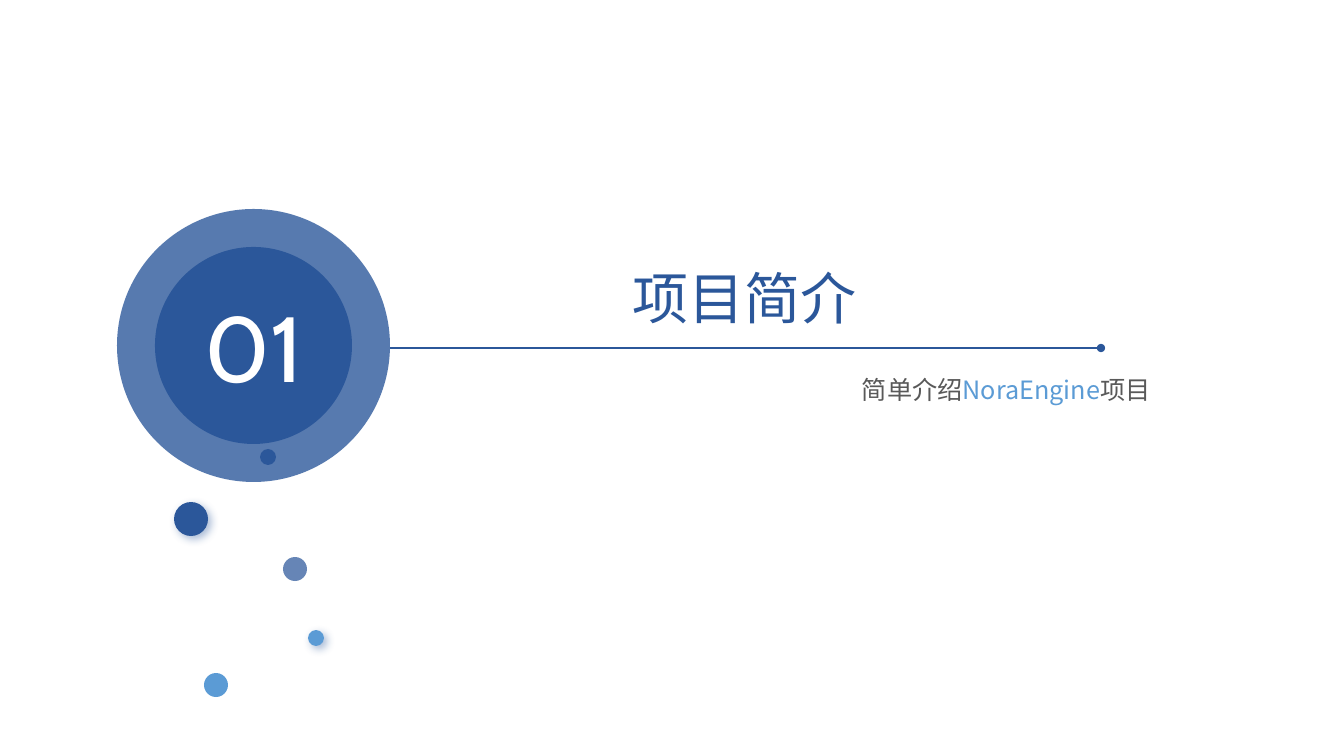
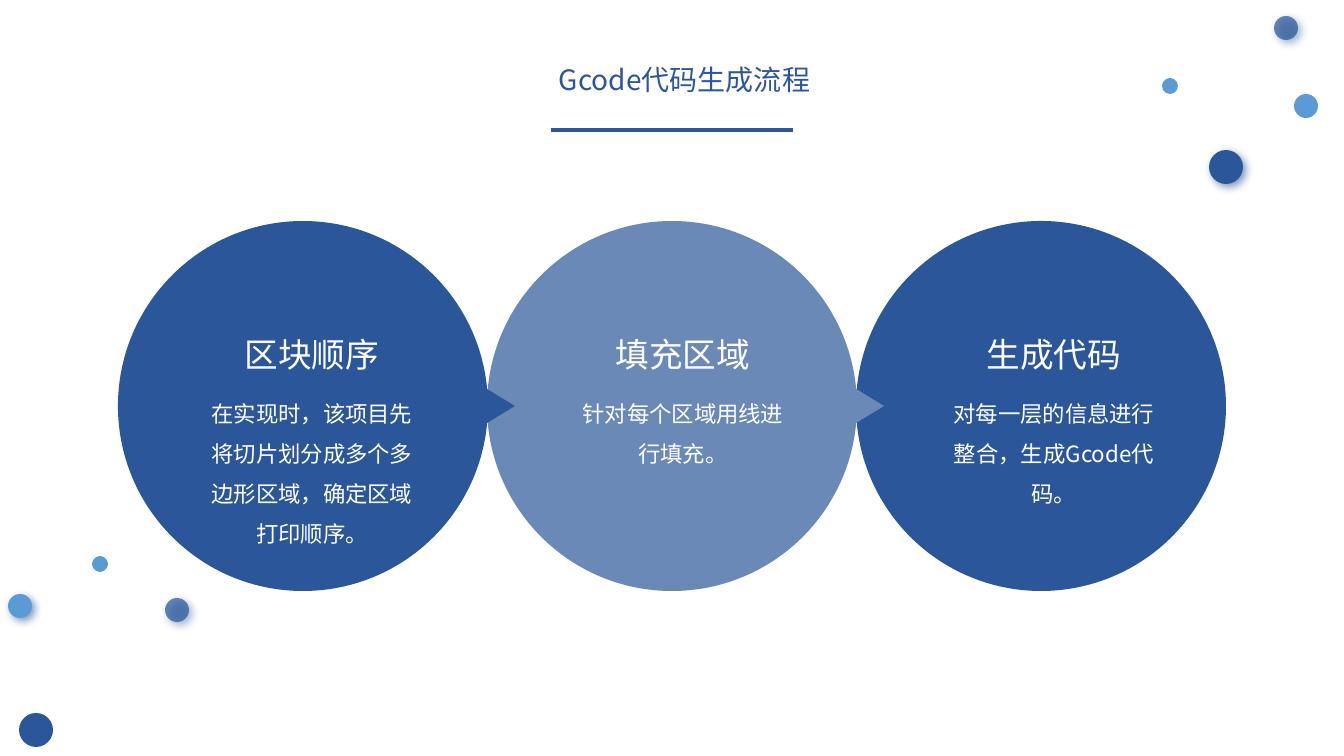
from dataclasses import dataclass
from itertools import pairwise
from math import asin, cos, pi, sin, tan

from lxml.etree import SubElement
from pptx import Presentation
from pptx.dml.color import RGBColor as RGB
from pptx.enum.shapes import MSO_CONNECTOR as LINK, MSO_SHAPE as FORM
from pptx.enum.text import MSO_ANCHOR as ANCHOR, PP_ALIGN as ALIGN
from pptx.oxml.ns import qn
from pptx.shapes.autoshape import Shape
from pptx.slide import Slide
from pptx.text.text import TextFrame as Frame, _Paragraph as Para
from pptx.util import Emu, Pt

SCALE = 914400 / 100.8


@dataclass(frozen=True)
class Theme:
    """Colours, fonts and type sizes of the deck."""
    navy: str = "2B579A"
    steel: str = "6B89B6"
    sky: str = "5B9BD5"
    grey: str = "595959"
    white: str = "FFFFFF"
    sans: str = "Noto Sans CJK SC"
    digit: str = "Cabin"
    number: int = 66
    chapter: int = 40
    head: int = 24
    title: int = 20
    note: int = 18
    body: int = 16


THEME = Theme()


@dataclass(frozen=True)
class Kind:
    """Look of a dot: size in pixels, colour and opacity."""
    size: int
    color: str
    alpha: int = 100


BIG = Kind(34, THEME.navy)
PALE = Kind(24, THEME.navy, 72)
MID = Kind(24, THEME.sky)
SMALL = Kind(16, THEME.sky)
DARK = Kind(16, THEME.navy)


@dataclass(frozen=True)
class Dot:
    """Place of a dot and the opacity of its shadow."""
    kind: Kind
    left: int
    top: int
    shade: int = 0


@dataclass(frozen=True)
class Step:
    """One stage of the process."""
    head: str
    body: str
    color: str


@dataclass(frozen=True)
class Piece:
    """A stretch of text in one colour."""
    text: str
    color: str


def px(length: float) -> Emu:
    """Turn pixels into EMU."""
    return Emu(round(length * SCALE))


def paint(shape: Shape, color: str, alpha: int = 100) -> None:
    """Fill a shape flat, without line or shadow."""
    shape.shadow.inherit = False
    shape.fill.solid()
    shape.fill.fore_color.rgb = RGB.from_string(color)
    shape.line.fill.background()
    if alpha < 100:
        tint = shape.element.spPr.find(qn("a:solidFill"))[0]
        SubElement(tint, qn("a:alpha"), val=str(alpha * 1000))


def cast(shape: Shape, shade: int) -> None:
    """Give a shape a soft shadow to the lower right."""
    effect = shape.element.spPr.find(qn("a:effectLst"))
    outer = SubElement(effect, qn("a:outerShdw"), blurRad=str(Pt(6)),
                       dist=str(Pt(3)), dir="2700000", algn="tl",
                       rotWithShape="0")
    tint = SubElement(outer, qn("a:srgbClr"), val=THEME.navy)
    SubElement(tint, qn("a:alpha"), val=str(shade * 1000))


def disc(slide: Slide, left: int, top: int, size: int, color: str,
         alpha: int = 100) -> Shape:
    """Draw a flat circle."""
    shape = slide.shapes.add_shape(
        FORM.OVAL, px(left), px(top), px(size), px(size))
    paint(shape, color, alpha)
    return shape


def scatter(slide: Slide, dots: list[Dot]) -> None:
    """Draw the loose dots of a slide."""
    for dot in dots:
        kind = dot.kind
        shape = disc(slide, dot.left, dot.top, kind.size, kind.color,
                     kind.alpha)
        if dot.shade:
            cast(shape, dot.shade)


def rule(slide: Slide, left: int, right: int, y: int, width: float,
         knob: bool = False) -> None:
    """Draw a level line, with a round end on request."""
    line = slide.shapes.add_connector(
        LINK.STRAIGHT, px(left), px(y), px(right), px(y))
    line.line.color.rgb = RGB.from_string(THEME.navy)
    line.line.width = Pt(width)
    props = line.element.spPr
    if knob:
        SubElement(props.find(qn("a:ln")), qn("a:tailEnd"), type="oval")
    SubElement(props, qn("a:effectLst"))


def write(para: Para, pieces: list[Piece], size: int,
          font: str = THEME.sans) -> None:
    """Add text run by run."""
    for piece in pieces:
        run = para.add_run()
        run.text = piece.text
        run.font.size = Pt(size)
        run.font.name = font
        run.font.color.rgb = RGB.from_string(piece.color)
        SubElement(run.font._element, qn("a:ea"), typeface=font)


def box(slide: Slide, left: int, top: int, width: int, height: int) -> Frame:
    """Add a wrapping text box."""
    shape = slide.shapes.add_textbox(
        px(left), px(top), px(width), px(height))
    shape.text_frame.word_wrap = True
    return shape.text_frame


def arc(start: float, end: float) -> list[tuple[float, float]]:
    """Give the two handles and the end of a curve on the unit circle."""
    pull = 4 / 3 * tan((end - start) / 4)
    return [(cos(start) - pull * sin(start), sin(start) + pull * cos(start)),
            (cos(end) + pull * sin(end), sin(end) - pull * cos(end)),
            (cos(end), sin(end))]


def bend(shape: Shape, count: int) -> None:
    """Turn the first lines of an outline, three by three, into curves."""
    lines = list(shape.element.iter(qn("a:lnTo")))[:3 * count]
    for at in range(0, len(lines), 3):
        curve = SubElement(lines[at].getparent(), qn("a:cubicBezTo"))
        lines[at].addprevious(curve)
        for line in lines[at:at + 3]:
            curve.append(line[0])
            line.getparent().remove(line)


def bubble(slide: Slide, mid: int, y: int, radius: int, color: str) -> None:
    """Draw a circle with a small tip on its right."""
    half, reach = 17, 27
    gap = asin(half / radius)
    turns = [gap, pi / 2, pi, 3 * pi / 2, 2 * pi - gap]
    unit = [(cos(gap), sin(gap))]
    for start, end in pairwise(turns):
        unit += arc(start, end)
    unit.append((1 + reach / radius, 0))
    first, *rest = [(px(mid + radius * a), px(y + radius * b))
                    for a, b in unit]
    outline = slide.shapes.build_freeform(*first, scale=1.0)
    outline.add_line_segments(rest, close=True)
    shape = outline.convert_to_shape()
    bend(shape, len(turns) - 1)
    paint(shape, color)


def label(slide: Slide, left: int, step: Step) -> None:
    """Write the head and body of a stage."""
    frame = box(slide, left, 305, 218, 197)
    frame.margin_left = frame.margin_right = frame.margin_bottom = 0
    frame.margin_top = px(9)
    rows = [(step.head, THEME.head), (step.body, THEME.body)]
    for at, (text, size) in enumerate(rows):
        para = frame.add_paragraph() if at else frame.paragraphs[0]
        para.alignment = ALIGN.CENTER
        para.line_spacing = 1.5
        para.space_after = Pt(0.35 * size)
        write(para, [Piece(text, THEME.white)], size)


def cover(slide: Slide) -> None:
    """Build the chapter slide."""
    disc(slide, 117, 209, 273, THEME.navy, 79)
    core = disc(slide, 155, 247, 197, THEME.navy).text_frame
    core.vertical_anchor = ANCHOR.MIDDLE
    core.paragraphs[0].alignment = ALIGN.CENTER
    write(core.paragraphs[0], [Piece("01", THEME.white)], THEME.number,
          THEME.digit)
    name = box(slide, 623, 259, 247, 78)
    write(name.paragraphs[0], [Piece("项目简介", THEME.navy)], THEME.chapter)
    note = box(slide, 852, 369, 312, 40)
    write(note.paragraphs[0],
          [Piece("简单介绍", THEME.grey), Piece("NoraEngine", THEME.sky),
           Piece("项目", THEME.grey)], THEME.note)
    rule(slide, 390, 1101, 348, 1.25, knob=True)
    scatter(slide, [
        Dot(PALE, 283, 557), Dot(BIG, 174, 502, 40), Dot(MID, 204, 673),
        Dot(SMALL, 308, 630, 40), Dot(DARK, 260, 449)])


def process(slide: Slide) -> None:
    """Build the slide with the three stages."""
    steps = [
        Step("区块顺序", "在实现时，该项目先将切片划分成多个多边形区域，"
             "确定区域打印顺序。", THEME.navy),
        Step("填充区域", "针对每个区域用线进行填充。", THEME.steel),
        Step("生成代码", "对每一层的信息进行整合，生成Gcode代码。",
             THEME.navy)]
    radius, y, first, pitch = 185, 406, 303, 369
    last = len(steps) - 1
    disc(slide, first + last * pitch - radius, y - radius, 2 * radius,
         steps[last].color)
    for at in reversed(range(last)):
        bubble(slide, first + at * pitch, y, radius, steps[at].color)
    for at, step in enumerate(steps):
        label(slide, 203 + at * 371, step)
    title = box(slide, 549, 58, 276, 44)
    write(title.paragraphs[0], [Piece("Gcode代码生成流程", THEME.navy)],
          THEME.title)
    rule(slide, 551, 793, 130, 2.5)
    scatter(slide, [
        Dot(PALE, 165, 598, 60), Dot(BIG, 19, 713), Dot(MID, 8, 594, 60),
        Dot(SMALL, 92, 556), Dot(PALE, 1274, 16, 60),
        Dot(BIG, 1209, 150, 60), Dot(MID, 1294, 94), Dot(SMALL, 1162, 78)])


def main() -> None:
    """Build and save the deck."""
    deck = Presentation()
    deck.slide_width, deck.slide_height = px(1344), px(756)
    blank = deck.slide_layouts[6]
    for build in (cover, process):
        build(deck.slides.add_slide(blank))
    deck.save("out.pptx")


main()
